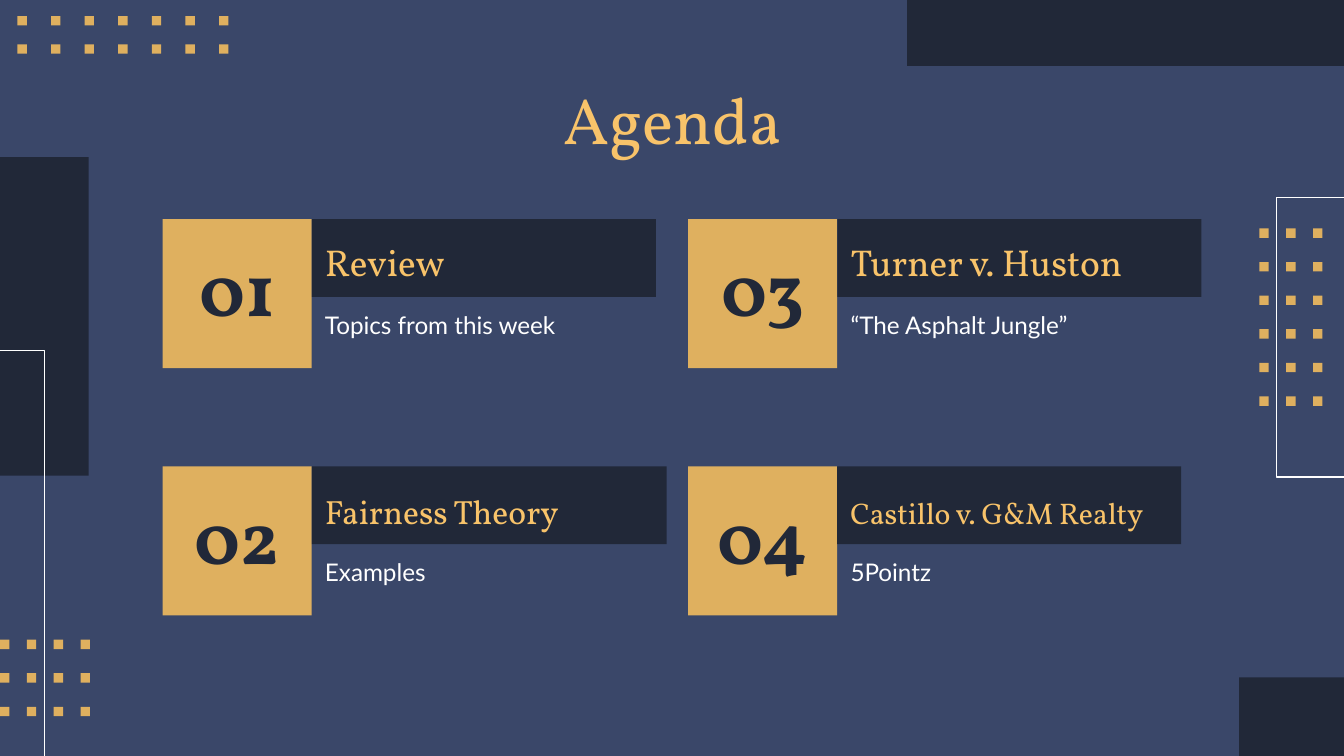
"""Build the agenda slide with four numbered topics."""
from dataclasses import dataclass
from itertools import product

from pptx import Presentation
from pptx.dml.color import RGBColor
from pptx.enum.shapes import MSO_SHAPE
from pptx.enum.text import MSO_ANCHOR, MSO_AUTO_SIZE, PP_ALIGN
from pptx.shapes.autoshape import Shape
from pptx.slide import Slide
from pptx.util import Inches, Pt

COLORS = {
    "background": "3A4769",
    "dark": "212838",
    "gold": "DFB05F",
    "heading": "F8C36A",
    "white": "FFFFFF",
}
SLIDE_WIDTH = 10
SLIDE_HEIGHT = SLIDE_WIDTH * 9 / 16
DOT_SIZE = 0.07
NUMBER_SIZE = 1.11
BAR_HEIGHT = 0.58
DETAIL_HEIGHT = 0.63


@dataclass(frozen=True)
class Block:
    left: float
    top: float
    width: float
    height: float


@dataclass(frozen=True)
class DotGrid:
    left: float
    top: float
    columns: int
    rows: int
    column_step: float
    row_step: float


@dataclass(frozen=True)
class TextStyle:
    font: str
    size: float
    color: str
    bold: bool = False
    align: PP_ALIGN = PP_ALIGN.LEFT
    anchor: MSO_ANCHOR = MSO_ANCHOR.TOP
    side_margin: float = 0.1
    top_margin: float = 0.1


@dataclass(frozen=True)
class Topic:
    number: str
    heading: str
    detail: str
    left: float
    top: float
    bar_width: float
    detail_width: float
    heading_size: float


TITLE_STYLE = TextStyle("Vollkorn", 35, "heading", align=PP_ALIGN.CENTER)
NUMBER_STYLE = TextStyle(
    "Vollkorn", 40, "dark", True, PP_ALIGN.CENTER, MSO_ANCHOR.MIDDLE, 0, 0
)
DETAIL_STYLE = TextStyle("Lato", 13, "white")

CORNER_BLOCKS = [
    Block(9.22, 5.04, 0.78, SLIDE_HEIGHT - 5.04),
    Block(6.75, 0, 3.25, 0.49),
    Block(0, 1.17, 0.66, 2.37),
]
OUTLINES = [
    [(10, 1.47), (9.5, 1.47), (9.5, 3.55), (10, 3.55)],
    [(0.33, SLIDE_HEIGHT), (0.33, 2.61), (0, 2.61)],
]
DOT_GRIDS = [
    DotGrid(9.37, 1.7, 3, 6, 0.2, 0.25),
    DotGrid(0.13, 0.12, 7, 2, 0.25, 0.21),
    DotGrid(0, 4.76, 4, 3, 0.2, 0.25),
]
TOPICS = [
    Topic("01", "Review", "Topics from this week", 1.21, 1.63, 2.56, 2.56, 20),
    Topic("03", "Turner v. Huston", "“The Asphalt Jungle”", 5.12, 1.63, 2.71, 2.71, 20),
    Topic("02", "Fairness Theory", "Examples", 1.21, 3.47, 2.64, 2.8, 18),
    Topic("04", "Castillo v. G&M Realty", "5Pointz", 5.12, 3.47, 2.56, 2.71, 16),
]


def rgb(color: str) -> RGBColor:
    return RGBColor.from_string(COLORS[color])


def add_block(slide: Slide, block: Block, color: str) -> Shape:
    rectangle = slide.shapes.add_shape(
        MSO_SHAPE.RECTANGLE,
        Inches(block.left), Inches(block.top),
        Inches(block.width), Inches(block.height),
    )
    rectangle.shadow.inherit = False
    rectangle.fill.solid()
    rectangle.fill.fore_color.rgb = rgb(color)
    rectangle.line.fill.background()
    return rectangle


def add_outline(slide: Slide, points: list[tuple[float, float]]) -> None:
    start, *corners = [(Inches(x), Inches(y)) for x, y in points]
    builder = slide.shapes.build_freeform(*start)
    builder.add_line_segments(corners, close=False)
    outline = builder.convert_to_shape()
    outline.shadow.inherit = False
    outline.fill.background()
    outline.line.color.rgb = rgb("white")
    outline.line.width = Pt(0.75)


def add_dots(slide: Slide, grid: DotGrid) -> None:
    for column, row in product(range(grid.columns), range(grid.rows)):
        left = grid.left + column * grid.column_step
        top = grid.top + row * grid.row_step
        add_block(slide, Block(left, top, DOT_SIZE, DOT_SIZE), "gold")


def write(holder: Shape, words: str, style: TextStyle) -> None:
    frame = holder.text_frame
    frame_format = {
        "word_wrap": True,
        "auto_size": MSO_AUTO_SIZE.NONE,
        "vertical_anchor": style.anchor,
        "margin_left": Inches(style.side_margin),
        "margin_right": Inches(style.side_margin),
        "margin_top": Inches(style.top_margin),
        "margin_bottom": Inches(0.1),
    }
    for attribute, setting in frame_format.items():
        setattr(frame, attribute, setting)
    line = frame.paragraphs[0]
    line.alignment = style.align
    run = line.add_run()
    run.text = words
    font_format = {"name": style.font, "size": Pt(style.size), "bold": style.bold}
    for attribute, setting in font_format.items():
        setattr(run.font, attribute, setting)
    run.font.color.rgb = rgb(style.color)


def add_topic(slide: Slide, topic: Topic) -> None:
    number = add_block(
        slide, Block(topic.left, topic.top, NUMBER_SIZE, NUMBER_SIZE), "gold"
    )
    write(number, topic.number, NUMBER_STYLE)

    bar_left = topic.left + NUMBER_SIZE
    heading = add_block(
        slide, Block(bar_left, topic.top, topic.bar_width, BAR_HEIGHT), "dark"
    )
    heading_style = TextStyle(
        "Vollkorn", topic.heading_size, "heading", anchor=MSO_ANCHOR.BOTTOM
    )
    write(heading, topic.heading, heading_style)

    detail = slide.shapes.add_textbox(
        Inches(bar_left), Inches(topic.top + BAR_HEIGHT),
        Inches(topic.detail_width), Inches(DETAIL_HEIGHT),
    )
    write(detail, topic.detail, DETAIL_STYLE)


def main() -> None:
    presentation = Presentation()
    presentation.slide_width = Inches(SLIDE_WIDTH)
    presentation.slide_height = Inches(SLIDE_HEIGHT)
    slide = presentation.slides.add_slide(presentation.slide_layouts[5])
    slide.background.fill.solid()
    slide.background.fill.fore_color.rgb = rgb("background")

    for block in CORNER_BLOCKS:
        add_block(slide, block, "dark")
    for points in OUTLINES:
        add_outline(slide, points)
    for grid in DOT_GRIDS:
        add_dots(slide, grid)

    agenda = slide.shapes.title
    place = {"left": 0.79, "top": 0.49, "width": 8.43, "height": 0.63}
    for attribute, length in place.items():
        setattr(agenda, attribute, Inches(length))
    write(agenda, "Agenda", TITLE_STYLE)

    for topic in TOPICS:
        add_topic(slide, topic)
    presentation.save("out.pptx")


if __name__ == "__main__":
    main()
